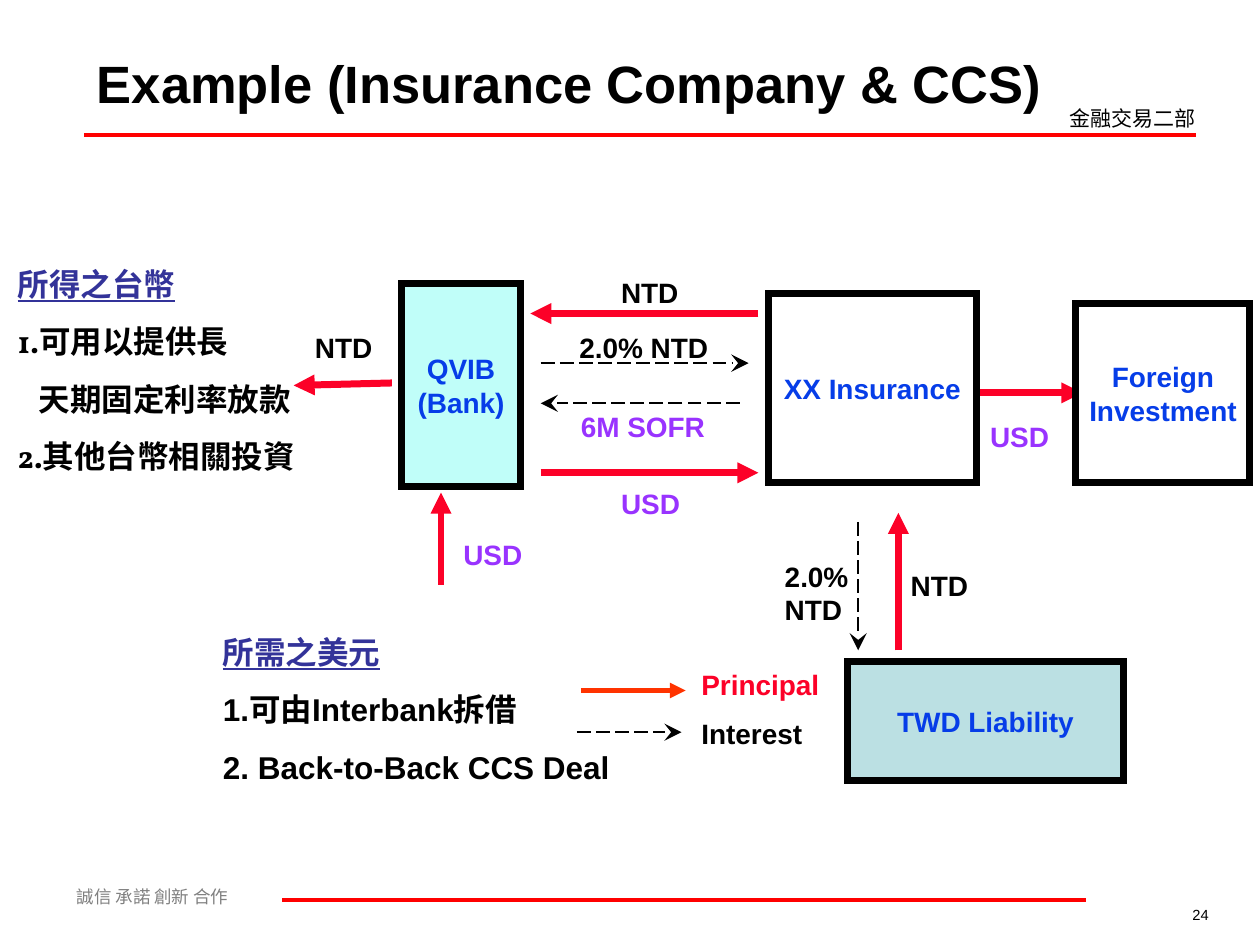
from lxml.etree import SubElement
from pptx import Presentation
from pptx.dml.color import RGBColor
from pptx.enum.dml import MSO_LINE
from pptx.enum.shapes import MSO_CONNECTOR, MSO_SHAPE
from pptx.enum.text import MSO_ANCHOR, MSO_AUTO_SIZE, PP_ALIGN
from pptx.oxml.ns import qn
from pptx.util import Cm, Pt

COLORS = {
    "black": "000000", "white": "FFFFFF", "gray": "808080", "rule": "FF0000",
    "principal": "FC0128", "legend": "FF3300", "dollar": "9933FF",
    "party": "063DE8", "heading": "333399", "bank": "C0FEF9", "liability": "BBE0E3",
}
ASIAN_FONT = "Noto Sans CJK SC"
TITLE = ("Example (Insurance Company & CCS)", (1.7, 0.91, 20.4, 1.52))
LISTS = [
    ("Vollkorn", (0.1, 4.6, 6.6, 5.72),
     [("所得之台幣", 0), ("1.可用以提供長", 0), ("天期固定利率放款", 0.43), ("2.其他台幣相關投資", 0)]),
    ("Arial", (4.24, 11.86, 9.09, 4.88),
     [("所需之美元", 0), ("1.可由Interbank拆借", 0), ("2. Back-to-Back CCS Deal", 0)]),
]
PARTIES = [
    ("QVIB\n(Bank)", (8.1, 5.72, 2.39, 4.09), "bank"),
    ("XX Insurance", (15.49, 5.92, 4.19, 3.81), "white"),
    ("TWD Liability", (17.09, 13.34, 5.56, 2.39), "liability"),
    ("Foreign\nInvestment", (21.69, 6.12, 3.51, 3.61), "white"),
]
LINE_STYLES = {
    "rule": ("rule", 2.25, None),
    "principal": ("principal", 4, "triangle"),
    "legend": ("legend", 3, "triangle"),
    "interest": ("black", 1, "stealth"),
}
LINES = [
    ("rule", (1.7, 2.72, 24.1, 2.72)),
    ("rule", (5.69, 18.14, 21.89, 18.14)),
    ("principal", (15.29, 6.32, 10.69, 6.32)),
    ("principal", (10.9, 9.53, 15.29, 9.53)),
    ("principal", (19.71, 7.92, 21.82, 7.92)),
    ("principal", (7.9, 7.72, 5.92, 7.77)),
    ("principal", (8.89, 11.79, 8.89, 9.93)),
    ("principal", (18.11, 13.11, 18.11, 10.34)),
    ("interest", (10.9, 7.32, 15.09, 7.32)),
    ("interest", (14.91, 8.13, 10.9, 8.13)),
    ("interest", (17.3, 10.52, 17.3, 13.11)),
    ("legend", (11.71, 13.92, 13.82, 13.92)),
    ("interest", (11.63, 14.76, 13.74, 14.76)),
]
FLOW_LABELS = [
    ("NTD", (12.27, 5.44, 2.11, 0.94), "black"),
    ("NTD", (6.1, 6.53, 2.11, 0.94), "black"),
    ("NTD", (18.11, 11.33, 2.11, 0.94), "black"),
    ("USD", (12.27, 9.68, 1.9, 0.94), "dollar"),
    ("USD", (19.71, 8.33, 1.88, 0.94), "dollar"),
    ("USD", (9.09, 10.72, 2.18, 0.94), "dollar"),
    ("2.0% NTD", (15.57, 11.15, 2.34, 1.6), "black"),
    ("2.0% NTD", (11.43, 6.53, 3.81, 0.94), "black"),
    ("6M SOFR", (11.46, 8.13, 3.23, 0.94), "dollar"),
    ("Principal", (13.89, 13.34, 4.01, 0.94), "principal"),
    ("Interest", (13.89, 14.33, 3.2, 0.94), "black"),
]
PAGE_TEXTS = [
    ("誠信 承諾 創新 合作", (1.3, 17.73, 6.4, 0.69), "gray", 10, ASIAN_FONT, PP_ALIGN.LEFT),
    ("金融交易二部", (21.31, 2.01, 3.2, 0.76), "black", 12, ASIAN_FONT, PP_ALIGN.LEFT),
    ("24", (21.11, 18.14, 3.51, 0.61), "black", 8.4, "Arial", PP_ALIGN.RIGHT),
]


def color(name):
    """Return the named colour."""
    return RGBColor.from_string(COLORS[name])


def place(shape, box):
    """Move and size a shape to a box in centimetres."""
    shape.left, shape.top, shape.width, shape.height = map(Cm, box)


def write(shape, text, color_name, size, bold=True, name="Arial",
          align=PP_ALIGN.LEFT, anchor=MSO_ANCHOR.TOP, wrap=True):
    """Fill a shape with uniformly formatted paragraphs."""
    frame = shape.text_frame
    frame.text = text
    frame.word_wrap = wrap
    frame.auto_size = MSO_AUTO_SIZE.NONE
    frame.vertical_anchor = anchor
    for paragraph in frame.paragraphs:
        paragraph.alignment = align
        font = paragraph.font
        font.name, font.size, font.bold = name, Pt(size), bold
        font.color.rgb = color(color_name)
        SubElement(font._element, qn("a:ea")).set("typeface", ASIAN_FONT)


def add_text(slide, text, box, *style):
    """Add a text box."""
    write(slide.shapes.add_textbox(*map(Cm, box)), text, *style)


def add_party(slide, text, box, fill):
    """Add a framed box for one party."""
    shape = slide.shapes.add_shape(MSO_SHAPE.RECTANGLE, *map(Cm, box))
    shape.shadow.inherit = False
    shape.fill.solid()
    shape.fill.fore_color.rgb = color(fill)
    shape.line.color.rgb = color("black")
    shape.line.width = Pt(4)
    SubElement(shape.line._get_or_add_ln(), qn("a:miter")).set("lim", "800000")
    write(shape, text, "party", 16, align=PP_ALIGN.CENTER,
          anchor=MSO_ANCHOR.MIDDLE, wrap=False)


def add_line(slide, style, ends):
    """Add a rule or a flow arrow."""
    color_name, width, head = LINE_STYLES[style]
    connector = slide.shapes.add_connector(MSO_CONNECTOR.STRAIGHT, *map(Cm, ends))
    connector.line.color.rgb = color(color_name)
    connector.line.width = Pt(width)
    if style == "interest":
        connector.line.dash_style = MSO_LINE.LONG_DASH
    if head:
        tail = SubElement(connector.line._get_or_add_ln(), qn("a:tailEnd"))
        tail.set("type", head)
        if head == "stealth":
            tail.set("w", "lg")
            tail.set("len", "lg")
    SubElement(connector._element.spPr, qn("a:effectLst"))


def fill_list(shape, font_name, box, items):
    """Fill a body placeholder with a heading and its points."""
    place(shape, box)
    write(shape, "\n".join(text for text, _ in items), "black", 18,
          name=font_name, anchor=MSO_ANCHOR.MIDDLE)
    for paragraph, (_, indent) in zip(shape.text_frame.paragraphs, items):
        paragraph.space_before = Pt(11.2)
        properties = paragraph._p.get_or_add_pPr()
        properties.set("marL", str(Cm(indent)))
        properties.set("indent", "0")
        properties.find(qn("a:defRPr")).addprevious(SubElement(properties, qn("a:buNone")))
    heading = shape.text_frame.paragraphs[0].font
    heading.underline = True
    heading.color.rgb = color("heading")


def main():
    """Build the currency swap slide."""
    presentation = Presentation()
    presentation.slide_width, presentation.slide_height = Cm(25.4), Cm(19.05)
    slide = presentation.slides.add_slide(presentation.slide_layouts[3])
    title, *bodies = slide.placeholders
    text, box = TITLE
    place(title, box)
    write(title, text, "black", 30)
    for body, content in zip(bodies, LISTS):
        fill_list(body, *content)
    for style, ends in LINES:
        add_line(slide, style, ends)
    for party in PARTIES:
        add_party(slide, *party)
    for text, box, color_name in FLOW_LABELS:
        add_text(slide, text, box, color_name, 16)
    for text, box, color_name, size, name, align in PAGE_TEXTS:
        add_text(slide, text, box, color_name, size, False, name, align)
    presentation.save("out.pptx")


if __name__ == "__main__":
    main()
